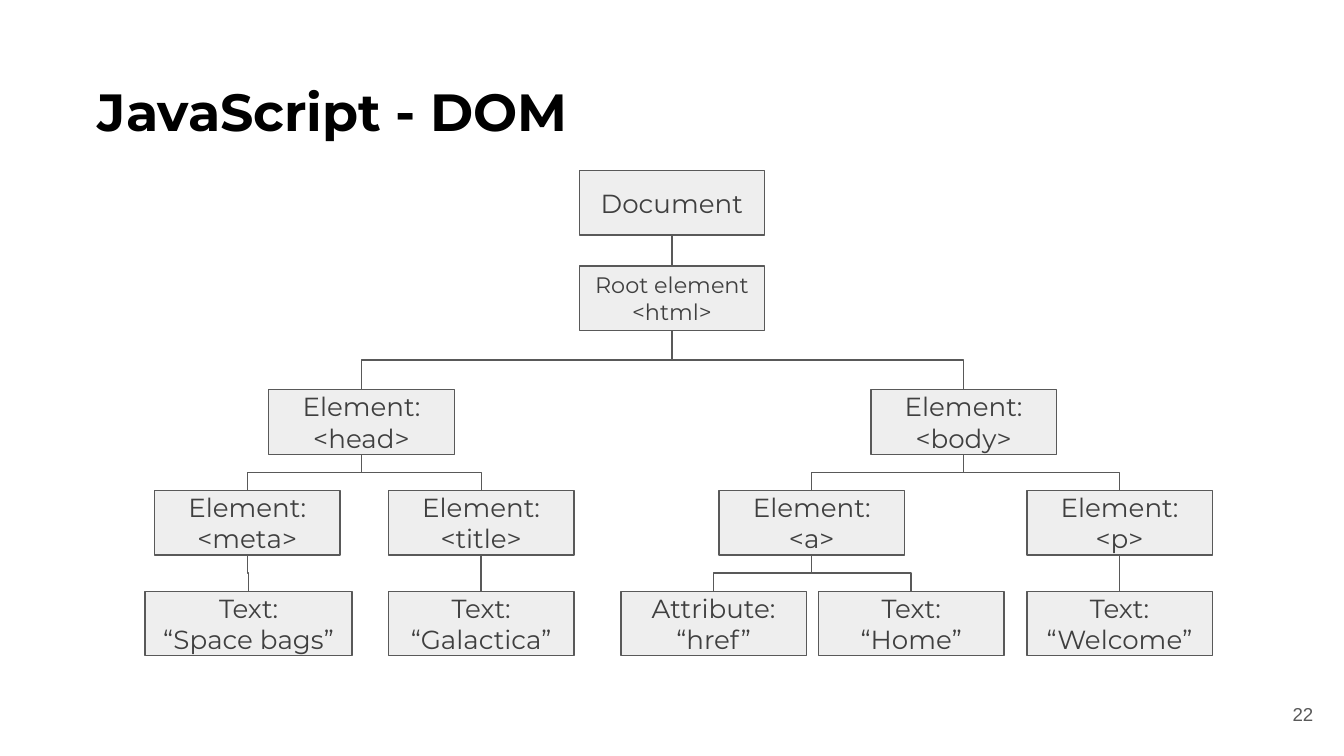
from dataclasses import dataclass
from typing import Optional

from lxml import etree
from pptx import Presentation
from pptx.dml.color import RGBColor
from pptx.enum import shapes, text
from pptx.oxml.ns import qn
from pptx.util import Inches, Pt


@dataclass(frozen=True)
class Theme:
    heading_color: str = "000000"
    label_color: str = "3F3F3F"
    line_color: str = "595959"
    box_color: str = "EEEEEE"
    font: str = "Montserrat"
    number_font: str = "Arial"
    heading_size: float = 28
    label_size: float = 14
    small_size: float = 12
    number_size: float = 10
    line_width: float = 0.75


@dataclass(frozen=True)
class Node:
    label: str
    center: float
    level: int
    parent: Optional[str] = None
    width: float = 1.38
    size: float = Theme.label_size


THEME = Theme()
BOX_HEIGHT = 0.48
LEVEL_TOPS = (1.27, 1.98, 2.9, 3.65, 4.4)

# Parents come before their children
NODES = {
    "document": Node("Document", 5, 0),
    "html": Node("Root element <html>", 5, 1, "document", size=THEME.small_size),
    "head": Node("Element:\n<head>", 2.69, 2, "html"),
    "body": Node("Element:\n<body>", 7.17, 2, "html"),
    "meta": Node("Element:\n<meta>", 1.84, 3, "head"),
    "title": Node("Element:\n<title>", 3.58, 3, "head"),
    "a": Node("Element:\n<a>", 6.04, 3, "body"),
    "p": Node("Element:\n<p>", 8.33, 3, "body"),
    "space bags": Node("Text:\n“Space bags”", 1.85, 4, "meta", width=1.54),
    "galactica": Node("Text:\n“Galactica”", 3.58, 4, "title"),
    "href": Node("Attribute:\n“href”", 5.31, 4, "a"),
    "home": Node("Text:\n“Home”", 6.78, 4, "a"),
    "welcome": Node("Text:\n“Welcome”", 8.33, 4, "p"),
}


def write(shape, content: str, *, size: float, color: str, font: str = THEME.font,
          bold: bool = False, align=text.PP_ALIGN.LEFT,
          anchor=text.MSO_ANCHOR.MIDDLE) -> None:
    frame = shape.text_frame
    frame.word_wrap = True
    frame.vertical_anchor = anchor
    frame.margin_left = frame.margin_right = Inches(0.1)
    frame.margin_top = frame.margin_bottom = Inches(0.1)
    frame.text = content
    for paragraph in frame.paragraphs:
        paragraph.alignment = align
        for run in paragraph.runs:
            run.font.name = font
            run.font.size = Pt(size)
            run.font.bold = bold
            run.font.color.rgb = RGBColor.from_string(color)


def style_line(line) -> None:
    line.color.rgb = RGBColor.from_string(THEME.line_color)
    line.width = Pt(THEME.line_width)


def add_node(slide, node: Node):
    box = slide.shapes.add_shape(
        shapes.MSO_SHAPE.RECTANGLE,
        Inches(node.center - node.width / 2), Inches(LEVEL_TOPS[node.level]),
        Inches(node.width), Inches(BOX_HEIGHT))
    box.shadow.inherit = False
    box.fill.solid()
    box.fill.fore_color.rgb = RGBColor.from_string(THEME.box_color)
    style_line(box.line)
    write(box, node.label, size=node.size, color=THEME.label_color,
          align=text.PP_ALIGN.CENTER)
    return box


def turn_downward(link, parent, child) -> None:
    """Rotate an elbow so that it leaves and arrives vertically."""
    start_x, start_y = parent.left + parent.width // 2, parent.top + parent.height
    end_x, end_y = child.left + child.width // 2, child.top
    drop, reach = end_y - start_y, abs(end_x - start_x)
    link.left = (start_x + end_x - drop) // 2
    link.top = (start_y + end_y - reach) // 2
    link.width, link.height = drop, reach
    frame = link._element.spPr.find(qn("a:xfrm"))
    for flip in ("flipH", "flipV"):
        frame.attrib.pop(flip, None)
    if end_x < start_x:
        frame.set("rot", str(90 * 60000))
    else:
        frame.set("rot", str(270 * 60000))
        frame.set("flipH", "1")


def add_link(slide, parent, child, *, straight: bool) -> None:
    kind = shapes.MSO_CONNECTOR.STRAIGHT if straight else shapes.MSO_CONNECTOR.ELBOW
    link = slide.shapes.add_connector(kind, 0, 0, 0, 0)
    link.begin_connect(parent, 2)
    link.end_connect(child, 0)
    if not straight:
        turn_downward(link, parent, child)
    style_line(link.line)
    etree.SubElement(link._element.spPr, qn("a:effectLst"))


def main() -> None:
    # Widescreen slide, 16:9
    deck = Presentation()
    deck.slide_width = Inches(10)
    deck.slide_height = Inches(10 * 9 / 16)
    slide = deck.slides.add_slide(deck.slide_layouts[6])

    # Heading and page number
    heading = slide.shapes.add_textbox(
        Inches(0.63), Inches(0.49), Inches(9.03), Inches(0.63))
    write(heading, "JavaScript - DOM", size=THEME.heading_size,
          color=THEME.heading_color, bold=True, anchor=text.MSO_ANCHOR.TOP)
    page_number = slide.shapes.add_textbox(
        Inches(9.27), Inches(5.1), Inches(0.6), Inches(0.43))
    write(page_number, "22", size=THEME.number_size, color=THEME.line_color,
          font=THEME.number_font, align=text.PP_ALIGN.RIGHT)

    # Document tree
    boxes = {key: add_node(slide, node) for key, node in NODES.items()}
    for key, node in NODES.items():
        if node.parent:
            add_link(slide, boxes[node.parent], boxes[key], straight=node.level == 1)

    deck.save("out.pptx")


if __name__ == "__main__":
    main()
